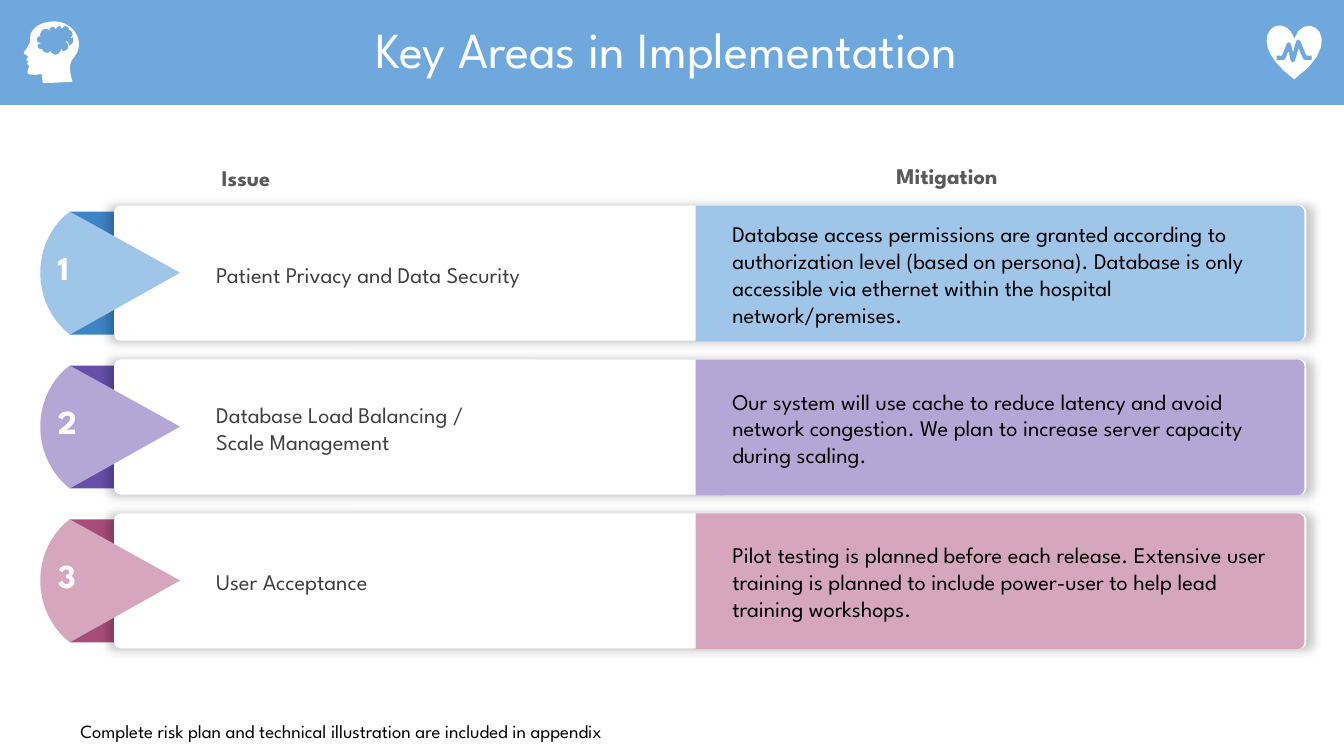
from lxml.etree import SubElement
from pptx import Presentation
from pptx.dml.color import RGBColor
from pptx.enum.shapes import MSO_SHAPE as Shape
from pptx.enum.text import MSO_ANCHOR as Anchor, MSO_AUTO_SIZE as AutoSize, PP_ALIGN as Align
from pptx.oxml.ns import qn
from pptx.util import Pt

PX = 4572
FONT = "League Spartan"
COLORS = {
    "white": "FFFFFF", "black": "000000", "banner": "6FA8DC",
    "heading": "595959", "issue": "3F3F3F",
    "blue": "9FC5E8", "blue_tab": "3D85C6",
    "purple": "B4A7D6", "purple_tab": "674EA7",
    "pink": "D5A6BD", "pink_tab": "A64D79",
}
ROWS = [
    ("blue", "Patient Privacy and Data Security",
     "Database access permissions are granted according to authorization level "
     "(based on persona). Database is only accessible via ethernet within the "
     "hospital network/premises."),
    ("purple", "Database Load Balancing /\nScale Management",
     "Our system will use cache to reduce latency and avoid network congestion. "
     "We plan to increase server capacity during scaling."),
    ("pink", "User Acceptance",
     "Pilot testing is planned before each release. Extensive user training is "
     "planned to include power-user to help lead training workshops."),
]
HEAD = [
    (82, 32), (108, 32, 130, 62, 110, 86), (104, 92, 102, 102, 108, 122), (64, 124),
    (62, 110), (54, 112, 46, 112, 42, 110), (40, 108, 42, 102, 44, 98),
    (44, 98, 42, 98, 40, 94), (40, 94, 42, 94, 42, 92), (40, 90),
    (38, 88, 42, 86, 42, 84), (40, 82, 38, 82, 36, 80), (34, 78, 40, 74, 42, 68),
    (46, 64, 44, 60, 46, 50), (52, 38, 64, 32, 82, 32),
]
HEART = [(1904, 38), (1912, 38, 1922, 44, 1926, 58), (1942, 10, 2010, 58, 1926, 118),
         (1866, 74, 1884, 38, 1904, 38)]
PULSE = [(1900, 86), (1910, 86), (1918, 66), (1924, 90), (1932, 62), (1942, 86), (1952, 86)]


def rgb(name):
    """Return the named colour."""
    return RGBColor.from_string(COLORS[name])


def paint(s, fill):
    """Give a shape a plain fill with no line or shadow."""
    s.shadow.inherit = False
    s.fill.solid()
    s.fill.fore_color.rgb = rgb(fill)
    s.line.fill.background()
    return s


def add_block(slide, kind, box, fill):
    """Add a filled preset shape."""
    return paint(slide.shapes.add_shape(kind, *(v * PX for v in box)), fill)


def trace(segments, steps=10):
    """Turn lines and cubic curves into a list of EMU points."""
    points = [segments[0]]
    for seg in segments[1:]:
        if len(seg) == 2:
            points.append(seg)
            continue
        nodes = [points[-1], seg[:2], seg[2:4], seg[4:]]
        for i in range(1, steps + 1):
            t = i / steps
            weights = ((1 - t) ** 3, 3 * t * (1 - t) ** 2, 3 * t * t * (1 - t), t ** 3)
            points.append(tuple(sum(w * n[k] for w, n in zip(weights, nodes)) for k in (0, 1)))
    return [(round(x * PX), round(y * PX)) for x, y in points]


def add_outline(slide, segments, fill, close=True):
    """Add a freeform that follows lines and curves."""
    points = trace(segments)
    builder = slide.shapes.build_freeform(*points[0], scale=1.0)
    builder.add_line_segments(points[1:], close=close)
    return paint(builder.convert_to_shape(), fill)


def stroke(s, color, width):
    """Give a shape a solid line."""
    s.line.color.rgb = rgb(color)
    s.line.width = Pt(width)


def write(s, text, size, color, inset=(20, 10), bold=False, anchor=Anchor.MIDDLE,
          align=Align.LEFT, spacing=None):
    """Fill a shape with formatted text."""
    tf = s.text_frame
    tf.text = text
    tf.word_wrap = True
    tf.auto_size = AutoSize.NONE
    tf.vertical_anchor = anchor
    tf.margin_left = tf.margin_right = inset[0] * PX
    tf.margin_top = tf.margin_bottom = inset[1] * PX
    for p in tf.paragraphs:
        p.alignment = align
        if spacing:
            p.line_spacing = spacing
        for r in p.runs:
            r.font.name = FONT
            r.font.size = Pt(size)
            r.font.bold = bold
            r.font.color.rgb = rgb(color)


def add_text(slide, box, *args, **kwargs):
    """Add a text box."""
    write(slide.shapes.add_textbox(*(v * PX for v in box)), *args, **kwargs)


def add_glow(s):
    """Add a soft shadow around a shape."""
    effects = s._element.spPr.find(qn("a:effectLst"))
    shadow = SubElement(effects, qn("a:outerShdw"), blurRad=str(Pt(5)), dist="0",
                        sx="101000", sy="101000", algn="ctr", rotWithShape="0")
    color = SubElement(shadow, qn("a:srgbClr"), val=COLORS["black"])
    SubElement(color, qn("a:alpha"), val="22000")


def add_banner(slide):
    """Add the title band with its two icons."""
    title = slide.shapes.title
    band = add_block(slide, Shape.RECTANGLE, (0, 0, 2000, 156), "banner")
    title._element.addprevious(band._element)
    title.left, title.top, title.width, title.height = (v * PX for v in (52, 18, 1898, 118))
    write(title, "Key Areas in Implementation ", 27, "white", (14, 8),
          align=Align.CENTER, spacing=0.9)
    add_outline(slide, HEART, "white")
    pulse = add_outline(slide, PULSE, "white", close=False)
    pulse.fill.background()
    stroke(pulse, "banner", 2.25)
    add_outline(slide, HEAD, "white")
    brain = add_block(slide, Shape.CLOUD, (54, 38, 56, 44), "banner")
    stroke(brain, "white", 0.5)


def add_row(slide, index, color, issue, mitigation):
    """Add one numbered issue with its mitigation."""
    top = 306 + 229 * index
    add_block(slide, Shape.RECTANGLE, (104, top + 9, 404, 183), color + "_tab")
    card = add_block(slide, Shape.ROUNDED_RECTANGLE, (170, top, 1774, 201), "white")
    card.adjustments[0] = 0.05
    add_glow(card)
    add_outline(slide, [(268, top + 100), (104, top + 192),
                        (78, top + 172, 60, top + 138, 60, top + 100),
                        (60, top + 62, 78, top + 28, 104, top + 9)], color)
    width, height = 906, 202
    shift = (width - height) // 2
    panel = add_block(slide, Shape.ROUND_2_SAME_RECTANGLE,
                      (1035 + shift, top - shift, height, width), color)
    panel.rotation = 90
    panel.adjustments[0] = 0.05
    add_text(slide, (62, top + 37, 210, 110), str(index + 1), 18, "white", (24, 10), bold=True)
    add_text(slide, (302, top + 29, 710, 146), issue, 12, "issue")
    add_text(slide, (1070, top + 29, 850, 146), mitigation, 12, "black")


def main():
    """Build and save the slide."""
    prs = Presentation()
    prs.slide_width, prs.slide_height = 2000 * PX, 1125 * PX
    slide = prs.slides.add_slide(prs.slide_layouts[5])
    add_banner(slide)
    add_text(slide, (306, 240, 460, 48), "Issue", 12, "heading", (24, 10), bold=True)
    add_text(slide, (1310, 237, 446, 48), "Mitigation", 12, "heading", (24, 10), bold=True)
    for index, row in enumerate(ROWS):
        add_row(slide, index, *row)
    add_text(slide, (100, 1047, 1616, 78),
             "Complete risk plan and technical illustration are included in appendix",
             10, "black", (20, 20), anchor=Anchor.BOTTOM, spacing=1.15)
    prs.save("out.pptx")


if __name__ == "__main__":
    main()
